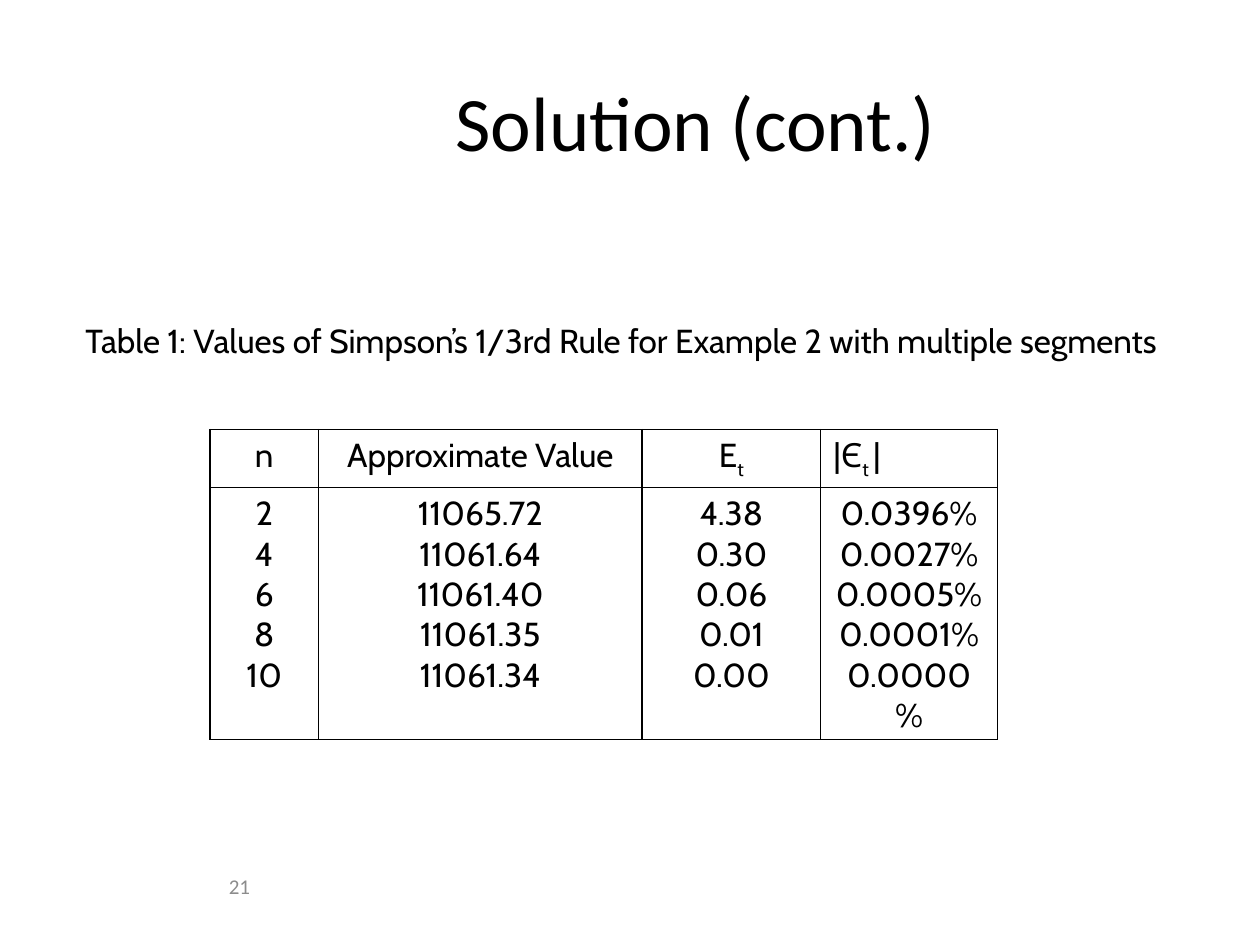
from lxml import etree
from pptx import Presentation
from pptx.dml.color import RGBColor
from pptx.enum import text as t
from pptx.oxml.ns import qn
from pptx.util import Pt

BLACK = RGBColor(0, 0, 0)
GREY = RGBColor(0x8C, 0x8C, 0x8C)
MID = t.PP_ALIGN.CENTER
HEADS = [["n"], ["Approximate Value"], ["E", "t"], ["|Є", "t ", "|"]]
COLS = [
    ["2", "4", "6", "8", "10"],
    ["11065.72", "11061.64", "11061.40", "11061.35", "11061.34"],
    ["4.38", "0.30", "0.06", "0.01", "0.00"],
    ["0.0396%", "0.0027%", "0.0005%", "0.0001%", "0.0000%"],
]
WIDTHS = [62, 185, 102, 101]


def style(frame, size, face, color=BLACK, align=MID):
    for para in frame.paragraphs:
        para.alignment = align
        for run in para.runs:
            run.font.size = Pt(size)
            run.font.name = face
            run.font.color.rgb = color


def place(shape, box):
    shape.left, shape.top, shape.width, shape.height = map(Pt, box)


def title(slide, box):
    shape = slide.shapes.title
    place(shape, box)
    frame = shape.text_frame
    frame.text = "Solution (cont.)"
    frame.vertical_anchor = t.MSO_ANCHOR.MIDDLE
    style(frame, 44, "Calibri")


def label(slide, box, words, size, face, color, align, wrap):
    frame = slide.shapes.add_textbox(*map(Pt, box)).text_frame
    frame.text = words
    frame.word_wrap = wrap
    frame.vertical_anchor = t.MSO_ANCHOR.MIDDLE
    style(frame, size, face, color, align)


def border(cell):
    props = cell._tc.get_or_add_tcPr()
    for side in ("lnL", "lnR", "lnT", "lnB"):
        line = etree.SubElement(props, qn("a:" + side), w=str(Pt(1)))
        fill = etree.SubElement(line, qn("a:solidFill"))
        etree.SubElement(fill, qn("a:srgbClr"), val=str(BLACK))


def grid(slide, box):
    table = slide.shapes.add_table(2, len(COLS), *map(Pt, box)).table
    table.first_row = table.horz_banding = False
    table.rows[0].height = Pt(33)
    table.rows[1].height = Pt(box[3] - 33)
    for i, (head, vals, width) in enumerate(zip(HEADS, COLS, WIDTHS)):
        table.columns[i].width = Pt(width)
        top, body = table.cell(0, i), table.cell(1, i)
        para = top.text_frame.paragraphs[0]
        for j, part in enumerate(head):
            run = para.add_run()
            run.text = part
            if j == 1:
                run.font._element.set("baseline", "-25000")
        body.text_frame.text = "\n".join(vals)
        last = i == len(COLS) - 1
        style(top.text_frame, 19, "Cabin", align=t.PP_ALIGN.LEFT if last else MID)
        style(body.text_frame, 19, "Cabin")
        for cell in (top, body):
            border(cell)
            cell.fill.background()


def main():
    deck = Presentation()
    deck.slide_width, deck.slide_height = Pt(720), Pt(540)
    slide = deck.slides.add_slide(deck.slide_layouts[5])
    title(slide, (91, 24, 613, 90))
    label(slide, (0, 497.5, 150, 18), "21", 12, "Calibri", GREY,
          t.PP_ALIGN.RIGHT, True)
    label(slide, (18, 179.5, 674, 30),
          "Table 1: Values of Simpson’s 1/3rd Rule for Example 2 with multiple segments",
          19, "Cabin", BLACK, MID, False)
    grid(slide, (120, 245.5, sum(WIDTHS), 177))
    deck.save("out.pptx")


if __name__ == "__main__":
    main()
